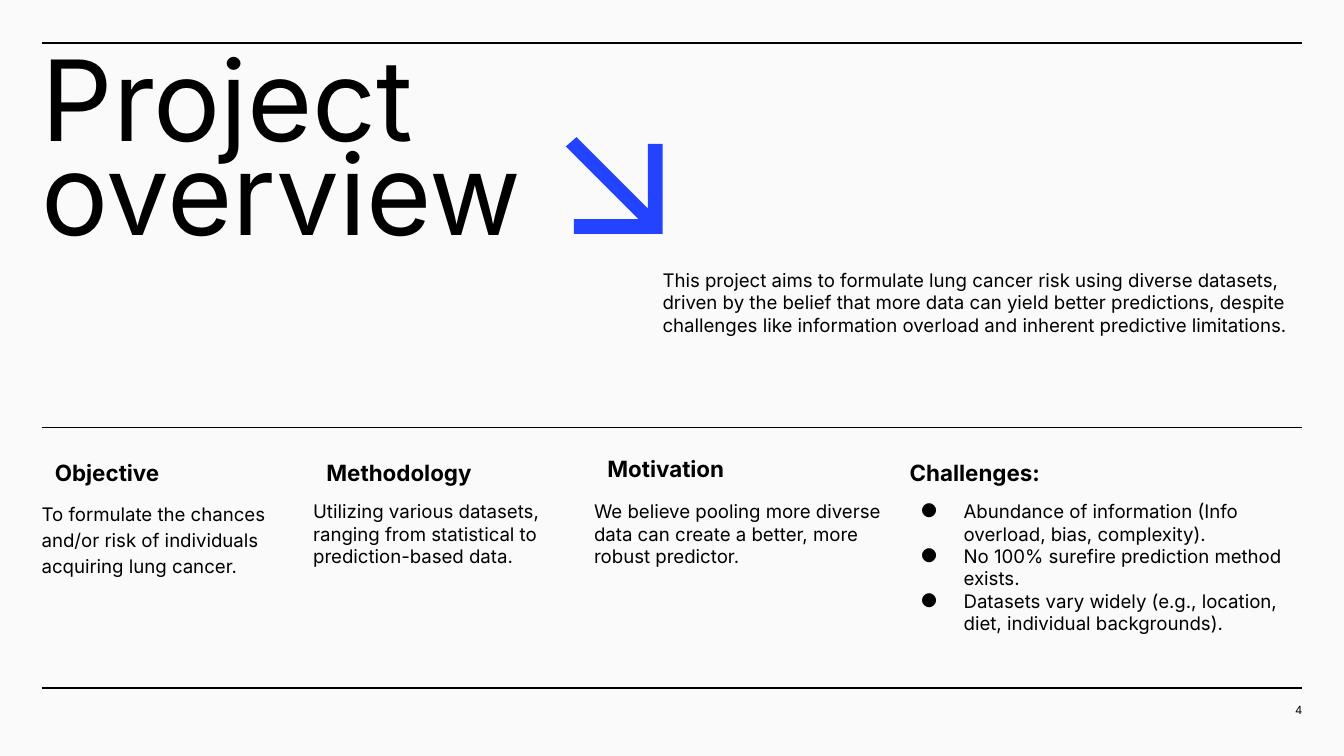
from lxml.etree import SubElement
from pptx import Presentation
from pptx.dml.color import RGBColor
from pptx.enum.shapes import MSO_CONNECTOR
from pptx.enum.text import MSO_AUTO_SIZE, PP_ALIGN
from pptx.oxml.ns import qn
from pptx.util import Inches, Pt

BLACK, BLUE, PAPER = "000000", "2443FF", "FAFAFA"
LEFT, RIGHT = 0.31, 9.69
COLUMNS = [
    (2.02, 3.32, 1.15, "Objective",
     ["To formulate the chances and/or risk of individuals acquiring lung cancer."]),
    (2.09, 3.32, 1, "Methodology",
     ["Utilizing various datasets, ranging from statistical to prediction-based data."]),
    (2.25, 3.29, 1, "Motivation",
     ["We believe pooling more diverse data can create a better, more robust predictor."]),
    (3.02, 3.32, 1, "Challenges:",
     ["Abundance of information (Info overload, bias, complexity).",
      "No 100% surefire prediction method exists.",
      "Datasets vary widely (e.g., location, diet, individual backgrounds)."]),
]


def color(value):
    """Turn a hex string into a colour."""
    return RGBColor.from_string(value)


def add_bullet(para):
    """Give a paragraph a round bullet with a hanging indent."""
    props = para._p.get_or_add_pPr()
    props.set("marL", str(Inches(0.5)))
    props.set("indent", str(Inches(-0.32)))
    tint = SubElement(props, qn("a:buClr"))
    SubElement(tint, qn("a:srgbClr"), val=BLACK)
    SubElement(props, qn("a:buFont"), typeface="Inter")
    SubElement(props, qn("a:buChar"), char="●")


def add_text(page, box, lines, size, spacing=1, inset=0, bold=False, align=PP_ALIGN.LEFT):
    """Place paragraphs in a box, with bullets when there are several."""
    frame = page.shapes.add_textbox(*map(Inches, box)).text_frame
    frame.word_wrap = True
    frame.margin_left = frame.margin_right = Inches(inset)
    frame.margin_top = frame.margin_bottom = Inches(inset)
    for index, line in enumerate(lines):
        para = frame.add_paragraph() if index else frame.paragraphs[0]
        para.text = line
        para.alignment = align
        para.line_spacing = spacing
        if len(lines) > 1:
            add_bullet(para)
        para.font.name = "Inter"
        para.font.size = Pt(size)
        para.font.bold = bold
        para.font.color.rgb = color(BLACK)
    return frame


def add_rule(page, top):
    """Draw a thin line across the page between its margins."""
    rule = page.shapes.add_connector(
        MSO_CONNECTOR.STRAIGHT, Inches(LEFT), Inches(top), Inches(RIGHT), Inches(top))
    rule.line.color.rgb = color(BLACK)
    rule.line.width = Pt(0.75)
    SubElement(rule._element.spPr, qn("a:effectLst"))


def add_arrow(page, left, top):
    """Draw the arrow that points down to the right."""
    points = [(0.72, 0.05), (0.61, 0.05), (0.61, 0.53), (0.08, 0), (0, 0.07),
              (0.54, 0.61), (0.06, 0.61), (0.06, 0.72), (0.72, 0.72)]
    corners = [(Inches(left + x), Inches(top + y)) for x, y in points]
    builder = page.shapes.build_freeform(*corners[0])
    builder.add_line_segments(corners[1:], close=True)
    arrow = builder.convert_to_shape()
    arrow.shadow.inherit = False
    arrow.fill.solid()
    arrow.fill.fore_color.rgb = color(BLUE)
    arrow.line.fill.background()


def add_header(page, left, top):
    """Place the title, the arrow and the introduction."""
    add_text(page, (left, top, 4.62, 1.26), ["Project overview"], 60, 0.7)
    add_arrow(page, left + 3.9, top + 0.53)
    add_text(page, (left + 4.62, top + 1.51, 4.93, 1.02), [
        "This project aims to formulate lung cancer risk using diverse datasets, "
        "driven by the belief that more data can yield better predictions, despite "
        "challenges like information overload and inherent predictive limitations."], 10)


def add_columns(page, left, top):
    """Place the headed columns side by side."""
    for width, heading_top, spacing, heading, lines in COLUMNS:
        frame = add_text(page, (left, heading_top, 1.45, 0.4), [heading], 12,
                         inset=0.1, bold=True)
        frame.auto_size = MSO_AUTO_SIZE.SHAPE_TO_FIT_TEXT
        add_text(page, (left, top, width, 1.14), lines, 10, spacing)
        left += width


def main():
    """Build the slide and save it."""
    deck = Presentation()
    deck.slide_width = Inches(10)
    deck.slide_height = deck.slide_width * 9 // 16
    page = deck.slides.add_slide(deck.slide_layouts[6])
    page.background.fill.solid()
    page.background.fill.fore_color.rgb = color(PAPER)
    for top in (0.32, 3.18, 5.12):
        add_rule(page, top)
    add_header(page, LEFT, 0.49)
    add_columns(page, LEFT, 3.72)
    add_text(page, (9.09, 5.23, 0.6, 0.08), ["4"], 6, align=PP_ALIGN.RIGHT)
    deck.save("out.pptx")


if __name__ == "__main__":
    main()
